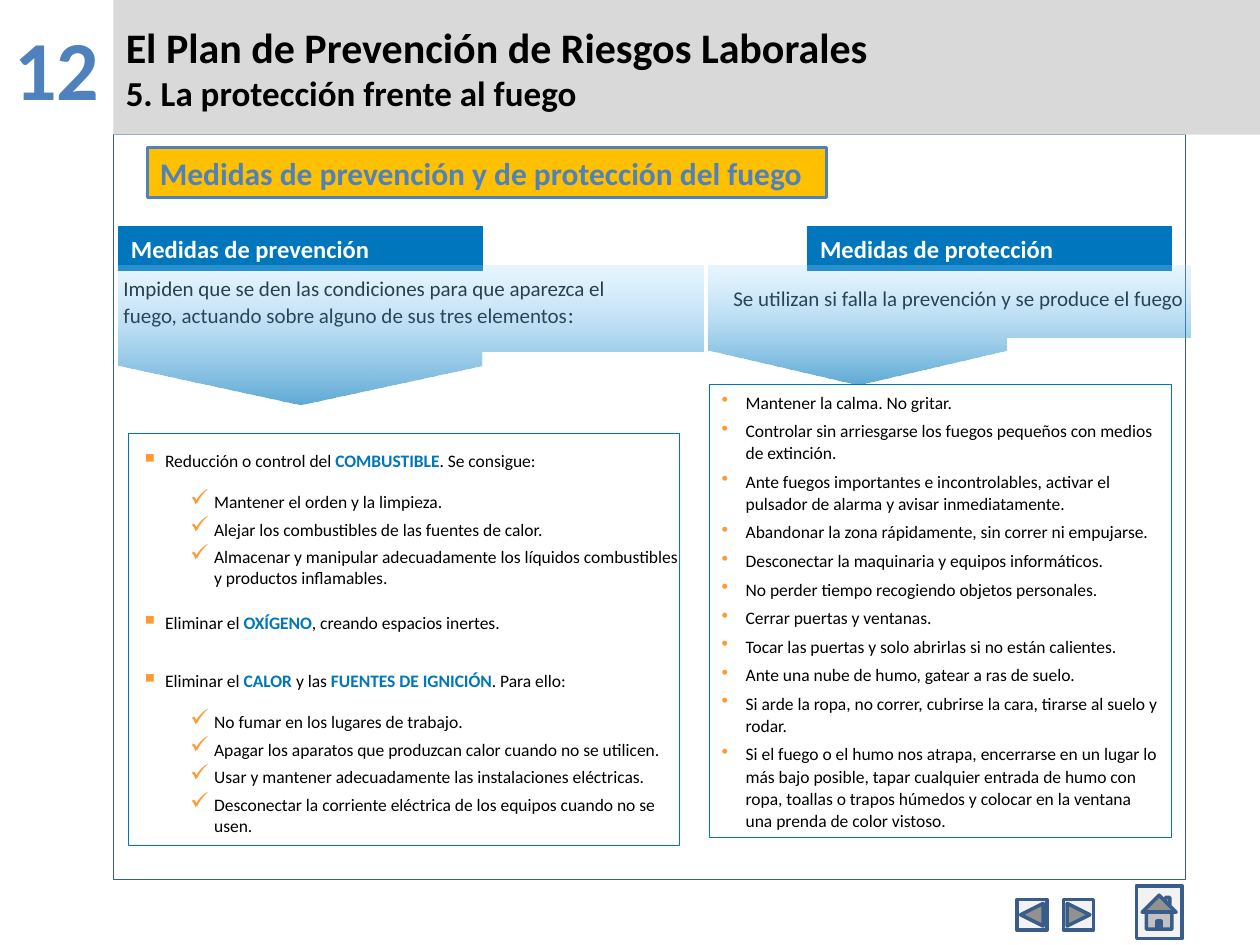
from lxml import etree
from pptx import Presentation
from pptx import util as u
from pptx.dml.color import RGBColor
from pptx.enum import shapes, text
from pptx.oxml.ns import qn

COLORS = {
    "black": "000000", "white": "FFFFFF", "grey": "D9D9D9", "pale": "F2F2F2",
    "navy": "385D8A", "steel": "4F81BD", "blue": "0077BD", "sky": "A1DBFF",
    "amber": "FFC000", "orange": "FF9933",
}

presentation = Presentation()
presentation.slide_width = u.Inches(10)
presentation.slide_height = u.Inches(7.5)
slide = presentation.slides.add_slide(presentation.slide_layouts[6])
COLUMN = presentation.slide_width / 100
ROW = presentation.slide_height / 75
KINDS = shapes.MSO_SHAPE
MIDDLE = text.MSO_ANCHOR.MIDDLE


def add_box(left, top, width, height, kind=KINDS.RECTANGLE, fill=None, line=None, weight=0.75):
    shape = slide.shapes.add_shape(
        kind, int(left * COLUMN), int(top * ROW), int(width * COLUMN), int(height * ROW))
    shape.shadow.inherit = False
    if fill:
        shape.fill.solid()
        shape.fill.fore_color.rgb = RGBColor.from_string(COLORS[fill])
    else:
        shape.fill.background()
    if line:
        shape.line.color.rgb = RGBColor.from_string(COLORS[line])
        shape.line.width = u.Pt(weight)
    else:
        shape.line.fill.background()
    return shape


def write(shape, lines, insets=(1, 0.5, 1, 0.5), anchor=text.MSO_ANCHOR.TOP):
    frame = shape.text_frame
    left, top, right, bottom = insets
    layout = {
        "word_wrap": True, "vertical_anchor": anchor,
        "margin_left": int(left * COLUMN), "margin_right": int(right * COLUMN),
        "margin_top": int(top * ROW), "margin_bottom": int(bottom * ROW),
    }
    for name, value in layout.items():
        setattr(frame, name, value)
    for index, (content, style) in enumerate(lines):
        paragraph = frame.add_paragraph() if index else frame.paragraphs[0]
        paragraph.alignment = style.get("align", text.PP_ALIGN.LEFT)
        spacing = dict(style.get("spacing", {}))
        if index == 0:
            spacing.pop("space_before", None)
        for name, value in spacing.items():
            setattr(paragraph, name, value)
        if "bullet" in style:
            mark, size, margin = style["bullet"]
            properties = paragraph._p.get_or_add_pPr()
            properties.set("marL", str(int(margin * COLUMN)))
            properties.set("indent", str(int(-1.9 * COLUMN)))
            color = etree.SubElement(properties, qn("a:buClr"))
            etree.SubElement(color, qn("a:srgbClr"), val=COLORS["orange"])
            etree.SubElement(properties, qn("a:buSzPct"), val=str(size * 1000))
            etree.SubElement(properties, qn("a:buChar"), char=mark)
        for part, words in enumerate(content.split("*")):
            accent = part % 2 == 1
            run = paragraph.add_run()
            run.text = words
            font = {"name": "Calibri", "size": u.Pt(style["size"]),
                    "bold": accent or style.get("bold", False)}
            for name, value in font.items():
                setattr(run.font, name, value)
            run.font.color.rgb = RGBColor.from_string(
                COLORS["blue" if accent else style.get("color", "black")])


number = add_box(0, 0, 9, 10)
write(number, [("12", {"size": 48, "color": "steel", "bold": True,
                       "align": text.PP_ALIGN.CENTER})])
spacer = number.text_frame.paragraphs[0].add_run()
spacer.text = " "
spacer.font.size = u.Pt(54)

add_box(9, 10.7, 85.1, 59.1, line="navy")

for left, kind in ((80.7, KINDS.ACTION_BUTTON_BACK_OR_PREVIOUS),
                   (84.4, KINDS.ACTION_BUTTON_FORWARD_OR_NEXT)):
    add_box(left, 71.4, 2.4, 2.4, kind, "pale", "navy", 2)

banner = add_box(9, 0, 91, 10.7, fill="grey")
write(banner, [("El Plan de Prevención de Riesgos Laborales", {"size": 24, "bold": True}),
               ("5. La protección frente al fuego", {"size": 20, "bold": True})], anchor=MIDDLE)

add_box(90.2, 70.3, 3.6, 4.2, KINDS.ACTION_BUTTON_HOME, "pale", "navy", 2)

topic = add_box(11.7, 11.7, 53.9, 4, fill="amber", line="steel", weight=2)
write(topic, [("Medidas de prevención y de protección del fuego",
               {"size": 18, "bold": True, "color": "steel"})])

for left, heading in ((9.4, "Medidas de prevención"), (64.1, "Medidas de protección")):
    write(add_box(left, 18, 28.9, 3.5, fill="blue", line="blue"),
          [(heading, {"size": 14, "bold": True, "color": "white"})], anchor=MIDDLE)

prevention = add_box(9.4, 21.9, 40.6, 4.9)
write(prevention, [("Impiden que se den las condiciones para que aparezca el fuego, "
                    "actuando sobre alguno de sus tres elementos", {"size": 12})], (0.4, 0, 0, 0))
colon = prevention.text_frame.paragraphs[0].add_run()
colon.text = ":"
colon.font.name = "Calibri"
colon.font.size = u.Pt(13)
colon.font.color.rgb = RGBColor.from_string(COLORS["black"])

write(add_box(57.8, 22.7, 44.1, 2.4),
      [("Se utilizan si falla la prevención y se produce el fuego", {"size": 12})],
      (0.4, 0, 0, 0.1))

ARROWS = (
    (9.4, 38.2, 55.8, 27.9, 29, 32.1),
    (56.2, 79.9, 94.5, 26.8, 27.8, 30.5),
)
for left, head_right, right, band, shoulder, tip in ARROWS:
    points = [(left, 21.1), (right, 21.1), (right, band), (head_right, band),
              (head_right, shoulder), ((left + head_right) / 2, tip), (left, shoulder)]
    corners = [(int(x * COLUMN), int(y * ROW)) for x, y in points]
    builder = slide.shapes.build_freeform(*corners[0])
    builder.add_line_segments(corners[1:], close=True)
    arrow = builder.convert_to_shape()
    arrow.shadow.inherit = False
    arrow.line.fill.background()
    arrow.fill.gradient()
    arrow.fill.gradient_angle = 270
    for stop, (color, opacity) in zip(arrow.fill.gradient_stops, (("sky", 25), ("blue", 63))):
        stop.color.rgb = RGBColor.from_string(COLORS[color])
    shades = arrow._element.spPr.iter(qn("a:srgbClr"))
    for shade, opacity in zip(shades, (25, 63)):
        etree.SubElement(shade, qn("a:alpha"), val=str(opacity * 1000))

ITEM = {"size": 10, "bullet": ("▪", 135, 2.9),
        "spacing": {"line_spacing": 1.35, "space_before": u.Pt(7.5), "space_after": u.Pt(9.4)}}
CHECK = {"size": 10, "bullet": ("✓", 135, 6.8),
         "spacing": {"level": 1, "space_before": u.Pt(1.9), "space_after": u.Pt(1.9)}}
ADVICE = {"size": 10, "bullet": ("•", 110, 1.9),
          "spacing": {"line_spacing": 1.05, "space_after": u.Pt(3.7)}}

write(add_box(10.2, 34.4, 43.7, 32.7, line="blue", weight=0.25), [
    ("Reducción o control del *COMBUSTIBLE*. Se consigue:", ITEM),
    ("Mantener el orden y la limpieza.", CHECK),
    ("Alejar los combustibles de las fuentes de calor.", CHECK),
    ("Almacenar y manipular adecuadamente los líquidos combustibles "
     "y productos inflamables.", CHECK),
    ("Eliminar el *OXÍGENO*, creando espacios inertes.", ITEM),
    ("Eliminar el *CALOR *y las *FUENTES DE IGNICIÓN*. Para ello:", ITEM),
    ("No fumar en los lugares de trabajo.", CHECK),
    ("Apagar los aparatos que produzcan calor cuando no se utilicen.", CHECK),
    ("Usar y mantener adecuadamente las instalaciones eléctricas.", CHECK),
    ("Desconectar la corriente eléctrica de los equipos cuando no se usen.", CHECK),
], (0, 0.8, 0, 0.8), MIDDLE)

ADVICE_LINES = (
    "Mantener la calma. No gritar.",
    "Controlar sin arriesgarse los fuegos pequeños con medios de extinción.",
    "Ante fuegos importantes e incontrolables, activar el pulsador de alarma "
    "y avisar inmediatamente.",
    "Abandonar la zona rápidamente, sin correr ni empujarse.",
    "Desconectar la maquinaria y equipos informáticos.",
    "No perder tiempo recogiendo objetos personales.",
    "Cerrar puertas y ventanas.",
    "Tocar las puertas y solo abrirlas si no están calientes.",
    "Ante una nube de humo, gatear a ras de suelo.",
    "Si arde la ropa, no correr, cubrirse la cara, tirarse al suelo y rodar.",
    "Si el fuego o el humo nos atrapa, encerrarse en un lugar lo más bajo posible, "
    "tapar cualquier entrada de humo con ropa, toallas o trapos húmedos y colocar "
    "en la ventana una prenda de color vistoso.",
)
write(add_box(56.3, 30.5, 36.7, 36, line="blue"), [(line, ADVICE) for line in ADVICE_LINES])

presentation.save("out.pptx")
